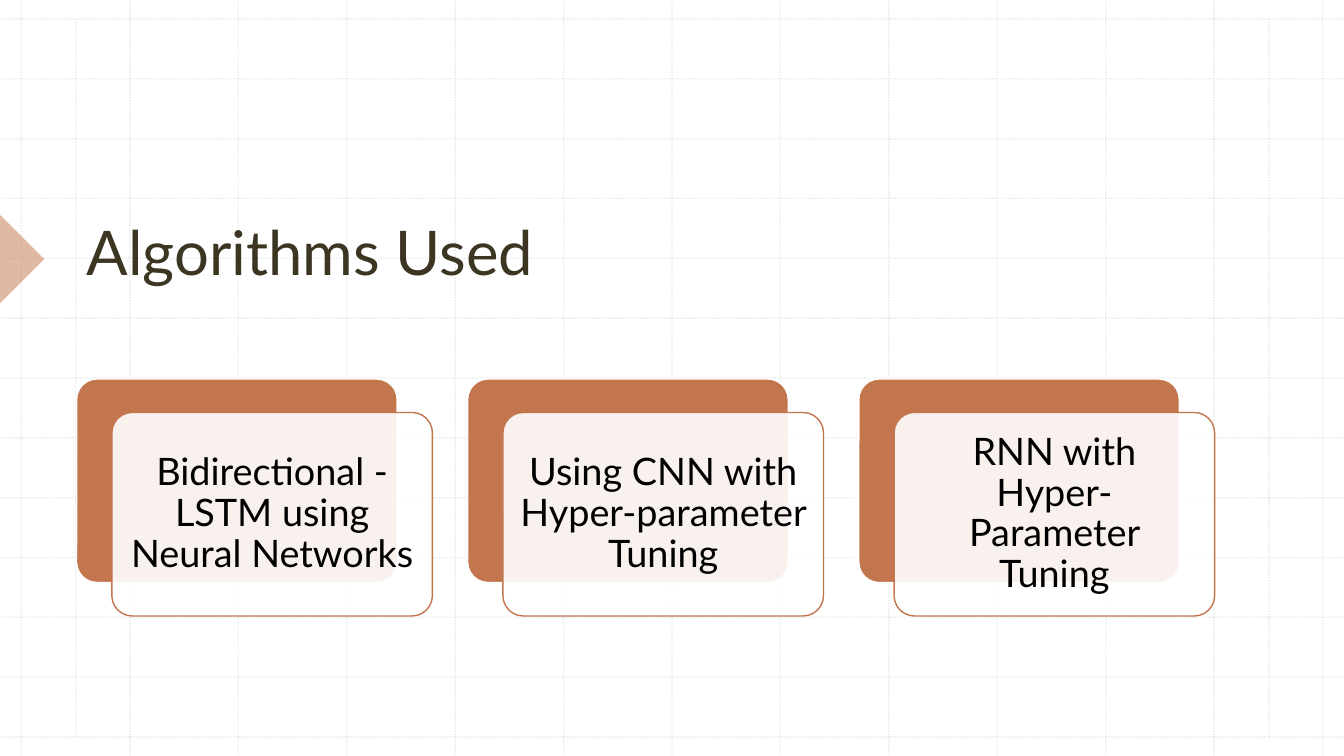
from dataclasses import dataclass

import pptx
import pptx.dml.color
import pptx.enum.dml
import pptx.enum.shapes
import pptx.enum.text
import pptx.oxml.ns
import pptx.util
from lxml import etree

Pt = pptx.util.Pt
SHAPE = pptx.enum.shapes.MSO_SHAPE
ANCHOR = pptx.enum.text.MSO_ANCHOR
ALIGN = pptx.enum.text.PP_ALIGN


@dataclass(frozen=True)
class Theme:
    white: str = "FFFFFF"
    accent: str = "C3754D"
    grid: str = "BCBCBC"
    title: str = "3B3522"
    text: str = "000000"
    font: str = "Lato"
    title_size: float = 44
    card_size: float = 27


THEME = Theme()


def set_all(obj, values):
    for name, value in values.items():
        setattr(obj, name, value)


def paint(fill, color, opacity=100):
    fill.solid()
    fill.fore_color.rgb = pptx.dml.color.RGBColor.from_string(color)
    if opacity < 100:
        clr = fill._xPr.find(".//" + pptx.oxml.ns.qn("a:srgbClr"))
        alpha = etree.SubElement(clr, pptx.oxml.ns.qn("a:alpha"))
        alpha.set("val", str(opacity * 1000))


def add_block(s, kind, box, color, opacity=100, outline=None):
    sp = s.shapes.add_shape(kind, *map(Pt, box))
    sp.shadow.inherit = False
    paint(sp.fill, color, opacity)
    if outline:
        paint(sp.line.fill, outline)
        sp.line.width = Pt(1)
    else:
        sp.line.fill.background()
    return sp


def write(sp, text, size, color, frame, paragraph):
    tf = sp.text_frame
    set_all(tf, {"word_wrap": True, **frame})
    p = tf.paragraphs[0]
    set_all(p, paragraph)
    r = p.add_run()
    r.text = text
    set_all(r.font, {"size": Pt(size), "name": THEME.font})
    r.font.color.rgb = pptx.dml.color.RGBColor.from_string(color)


def add_grid_line(s, x1, y1, x2, y2):
    line = s.shapes.add_connector(
        pptx.enum.shapes.MSO_CONNECTOR.STRAIGHT, *map(Pt, (x1, y1, x2, y2)))
    paint(line.line.fill, THEME.grid, 30)
    set_all(line.line, {"width": Pt(1), "dash_style": pptx.enum.dml.MSO_LINE.ROUND_DOT})
    etree.SubElement(line._element.spPr, pptx.oxml.ns.qn("a:effectLst"))


def add_grid(s, x, y, w, h):
    margin_x, margin_y, steps = 15.3, 13.5, 12
    step_x = (w - 2 * margin_x) / steps
    step_y = (h - 2 * margin_y) / steps
    for i in range(steps + 1):
        column, row = x + margin_x + i * step_x, y + margin_y + i * step_y
        add_grid_line(s, column, y, column, y + h)
        add_grid_line(s, x, row, x + w, row)
    for edge in (x + 54, x + w - 53.5):
        add_grid_line(s, edge, y + margin_y, edge, y + h - margin_y)


def add_marker(s, x, y, size):
    sp = add_block(s, SHAPE.RIGHT_TRIANGLE, (x, y, size, size), THEME.accent, 50)
    sp.rotation = 225


def add_title(s, x, y, w, h, text):
    sp = s.shapes.add_textbox(*map(Pt, (x, y, w, h)))
    write(sp, text, THEME.title_size, THEME.title,
          {"vertical_anchor": ANCHOR.BOTTOM}, {"alignment": ALIGN.LEFT})


def add_card(s, x, y, w, h, text):
    dx, dy = 25.2, 23.9
    size = (w - dx, h - dy)
    back = add_block(s, SHAPE.ROUNDED_RECTANGLE, (x, y, *size),
                     THEME.accent, outline=THEME.white)
    front = add_block(s, SHAPE.ROUNDED_RECTANGLE, (x + dx, y + dy, *size),
                      THEME.white, 90, THEME.accent)
    for sp in (back, front):
        sp.adjustments[0] = 0.1
    margins = {f"margin_{side}": Pt(8) for side in ("left", "top", "right", "bottom")}
    write(front, text, THEME.card_size, THEME.text,
          {"vertical_anchor": ANCHOR.MIDDLE, **margins},
          {"alignment": ALIGN.CENTER, "line_spacing": 0.9})


def add_cards(s, x, y, w, h, texts):
    gap = 25.2
    card_w = (w - gap * (len(texts) - 1)) / len(texts)
    for i, text in enumerate(texts):
        add_card(s, x + i * (card_w + gap), y, card_w, h, text)


def main():
    prs = pptx.Presentation()
    set_all(prs, {"slide_width": Pt(960), "slide_height": Pt(540)})
    s = prs.slides.add_slide(prs.slide_layouts[6])
    paint(s.background.fill, THEME.white)
    add_grid(s, 0, 0, 960, 540)
    add_marker(s, -22.4, 162.7, 44.8)
    add_title(s, 54.7, 56.9, 812.9, 151.9, "Algorithms Used")
    add_cards(s, 54.7, 270.7, 812.9, 169.3, [
        "Bidirectional - LSTM using Neural Networks",
        "Using CNN with Hyper-parameter Tuning",
        "RNN with Hyper-Parameter Tuning",
    ])
    prs.save("out.pptx")


if __name__ == "__main__":
    main()
